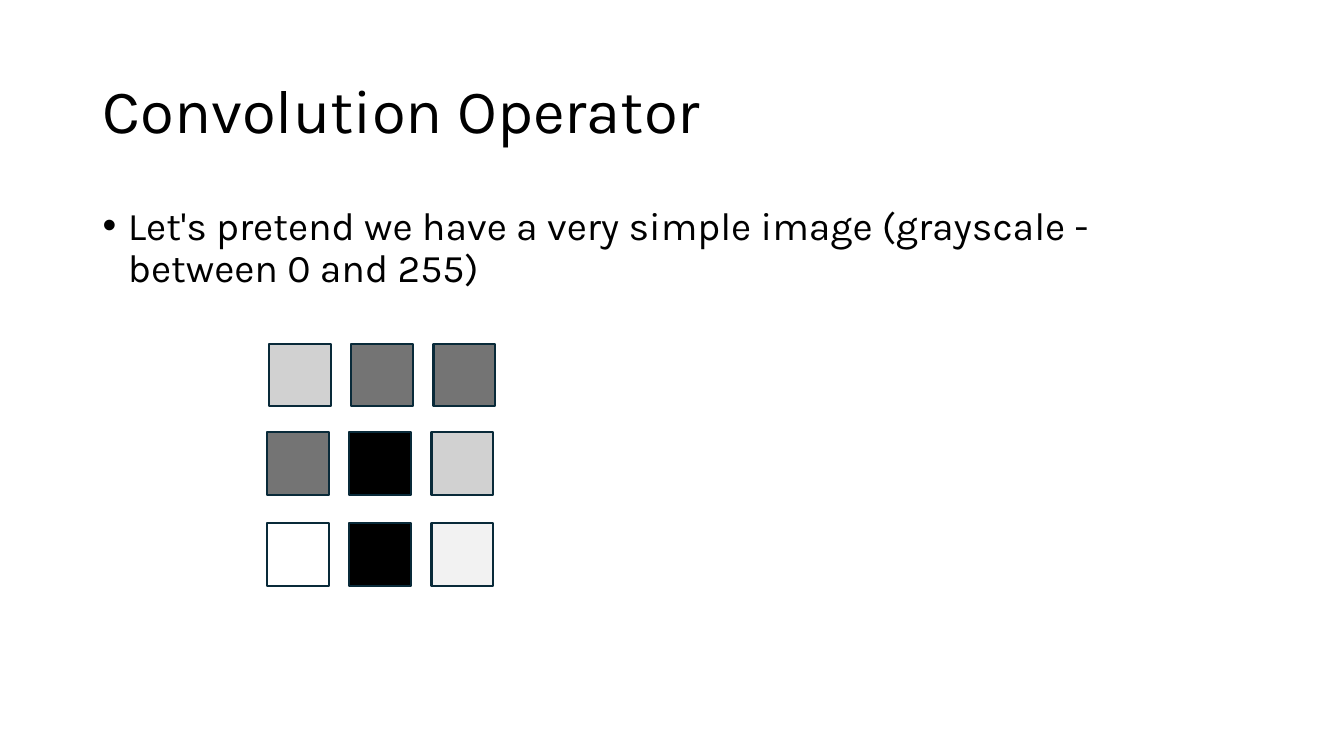
from lxml.etree import SubElement
from pptx import Presentation
from pptx.dml.color import RGBColor
from pptx.enum.shapes import MSO_SHAPE
from pptx.enum.text import MSO_ANCHOR, PP_ALIGN
from pptx.oxml.ns import qn
from pptx.util import Inches, Pt

FONT = "Karla"
BLACK = RGBColor(0x00, 0x00, 0x00)
DARK = RGBColor(0x74, 0x74, 0x74)
LIGHT = RGBColor(0xD1, 0xD1, 0xD1)
PALE = RGBColor(0xF2, 0xF2, 0xF2)
WHITE = RGBColor(0xFF, 0xFF, 0xFF)
EDGE = RGBColor(0x09, 0x2A, 0x39)

# Left and top of each row, then its pixel shades
ROWS = [
    (2.67, 3.41, (LIGHT, DARK, DARK)),
    (2.65, 4.29, (DARK, BLACK, LIGHT)),
    (2.65, 5.19, (WHITE, BLACK, PALE)),
]
STEP = 0.815


def place(shape, left, top, width, height):
    shape.left, shape.top = Inches(left), Inches(top)
    shape.width, shape.height = Inches(width), Inches(height)


def add_run(para, text, size):
    para.alignment = PP_ALIGN.LEFT
    para.line_spacing = 0.9
    run = para.add_run()
    run.text = text
    run.font.name = FONT
    run.font.size = Pt(size)
    run.font.color.rgb = BLACK


def set_title(slide, text):
    title = slide.shapes.title
    place(title, 0.92, 0.4, 11.5, 1.45)
    frame = title.text_frame
    frame.word_wrap = True
    frame.vertical_anchor = MSO_ANCHOR.MIDDLE
    add_run(frame.paragraphs[0], text, 44)


def add_bullet(slide, text):
    box = slide.shapes.add_textbox(
        Inches(0.92), Inches(2), Inches(11.5), Inches(1))
    box.text_frame.word_wrap = True
    para = box.text_frame.paragraphs[0]
    props = para._p.get_or_add_pPr()
    props.set("marL", str(Inches(0.25)))
    props.set("indent", str(Inches(-0.25)))
    SubElement(props, qn("a:buFont"), typeface="Arial")
    SubElement(props, qn("a:buChar"), char="•")
    add_run(para, text, 28)


def add_pixel(slide, left, top, shade):
    pixel = slide.shapes.add_shape(
        MSO_SHAPE.RECTANGLE, Inches(left), Inches(top),
        Inches(0.61), Inches(0.62))
    pixel.shadow.inherit = False
    pixel.fill.solid()
    pixel.fill.fore_color.rgb = shade
    pixel.line.color.rgb = EDGE
    pixel.line.width = Pt(1.5)


def main():
    deck = Presentation()
    deck.slide_width, deck.slide_height = Inches(13.33), Inches(7.5)
    slide = deck.slides.add_slide(deck.slide_layouts[5])
    set_title(slide, "Convolution Operator")
    add_bullet(slide, "Let's pretend we have a very simple image "
                      "(grayscale - between 0 and 255)")
    for left, top, shades in ROWS:
        for col, shade in enumerate(shades):
            add_pixel(slide, left + col * STEP, top, shade)
    deck.save("out.pptx")


if __name__ == "__main__":
    main()
